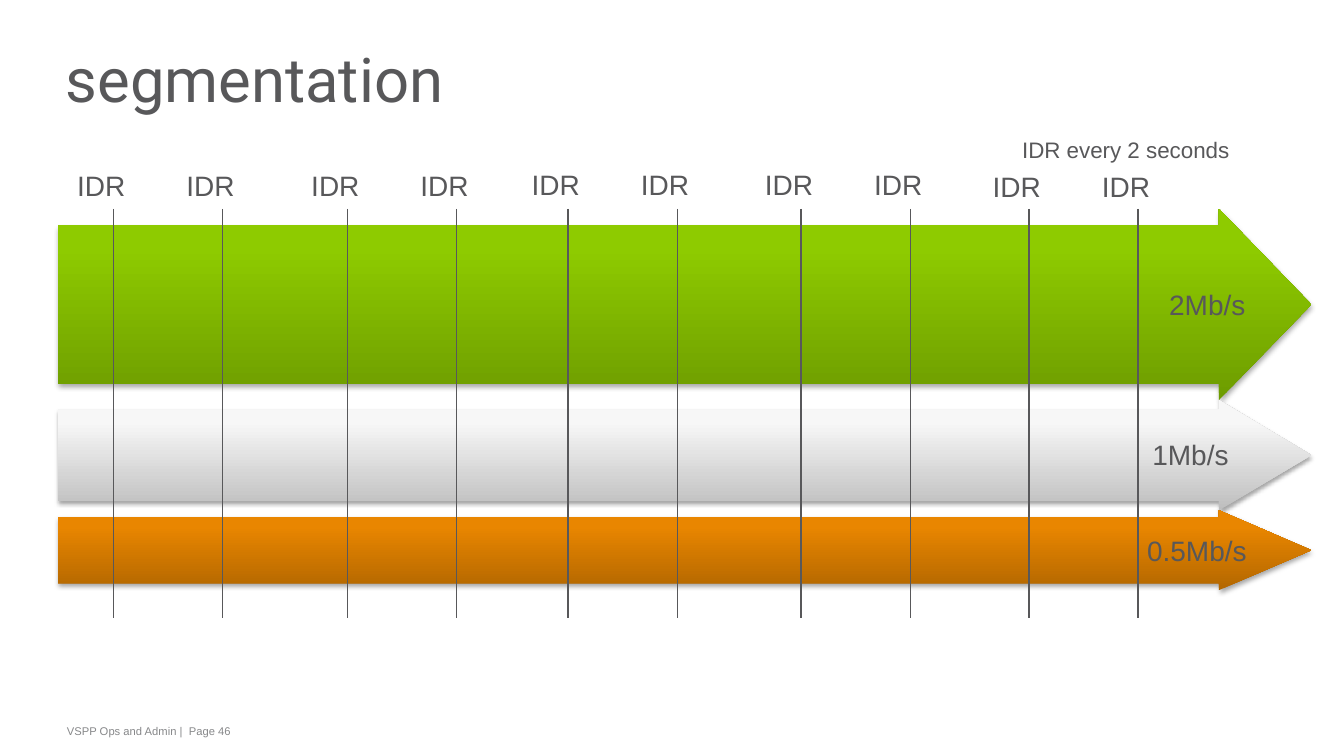
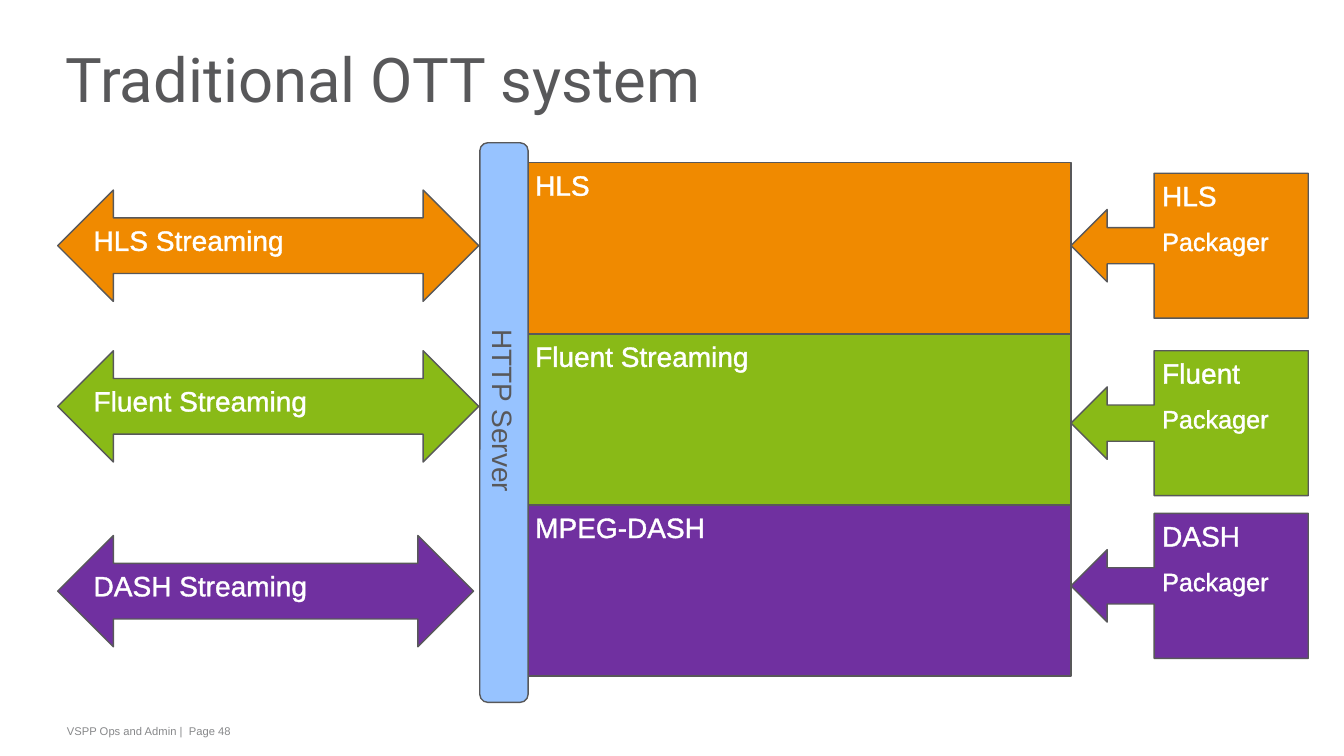
from lxml import etree
from pptx import Presentation
from pptx import util as u
from pptx.dml.color import RGBColor
from pptx.enum import shapes, text
from pptx.oxml import ns

SCALE = 9525
GREY = RGBColor(0x58, 0x58, 0x5A)
FOOTER_GREY = RGBColor(0x87, 0x88, 0x8A)
WHITE = RGBColor(0xFF, 0xFF, 0xFF)
ORANGE = RGBColor(0xF0, 0x8A, 0x00)
GREEN = RGBColor(0x89, 0xBA, 0x17)
PURPLE = RGBColor(0x70, 0x30, 0xA0)
BLUE = RGBColor(0x97, 0xC3, 0xFF)
LIME_DARK, LIME = RGBColor(0x6D, 0x9C, 0x00), RGBColor(0x8E, 0xCB, 0x00)
SILVER_DARK, SILVER = RGBColor(0xBE, 0xBE, 0xBE), RGBColor(0xF7, 0xF7, 0xF7)
AMBER_DARK, AMBER = RGBColor(0xB3, 0x67, 0x00), RGBColor(0xE9, 0x86, 0x00)
BODY_FONT, TITLE_FONT = "Arial", "Roboto"
LEFT = 55
SHAPE = shapes.MSO_SHAPE


def px(*values):
    return [u.Emu(v * SCALE) for v in values]


def add_xml(parent, tag, **attrs):
    el = etree.SubElement(parent, ns.qn(tag))
    for name, value in attrs.items():
        el.set(name, str(value))
    return el


def add_run(p, words, size, color, font=BODY_FONT):
    r = p.add_run()
    r.text = words
    r.font.size = u.Pt(size)
    r.font.name = font
    r.font.color.rgb = color
    return r


def set_insets(tf, x, y):
    tf.margin_left = tf.margin_right = u.Inches(x)
    tf.margin_top = tf.margin_bottom = u.Inches(y)


def add_slide(prs, title, page):
    s = prs.slides.add_slide(prs.slide_layouts[5])
    sp = s.shapes.title
    sp.left, sp.top, sp.width, sp.height = px(LEFT, 25, 1056, 114)
    tf = sp.text_frame
    tf.auto_size = text.MSO_AUTO_SIZE.NONE
    tf.vertical_anchor = text.MSO_ANCHOR.MIDDLE
    set_insets(tf, 0.08, 0.08)
    p = tf.paragraphs[0]
    p.alignment = text.PP_ALIGN.LEFT
    p.line_spacing = 0.75
    add_run(p, title, 44, GREY, TITLE_FONT)
    footer = add_label(s, 56, 685, 1036, 23, f"VSPP Ops and Admin |  Page {page}", 8, FOOTER_GREY)
    footer.text_frame.word_wrap = True
    set_insets(footer.text_frame, 0.08, 0.05)
    return s


def add_label(s, x, y, w, h, words, size=20, color=GREY):
    sp = s.shapes.add_textbox(*px(x, y, w, h))
    tf = sp.text_frame
    tf.word_wrap = False
    add_run(tf.paragraphs[0], words, size, color)
    return sp


def add_bitrate_arrow(s, y, h, dark, light):
    sp = s.shapes.add_shape(SHAPE.RIGHT_ARROW, *px(LEFT, y, 1194, h))
    sp.adjustments[0] = 0.83
    sp.adjustments[1] = 88 / h
    sp.line.fill.background()
    sp.fill.gradient()
    sp.fill.gradient_angle = 90
    stops = sp.fill.gradient_stops
    for stop, position, color in zip(stops, (0, 0.8), (dark, light)):
        stop.position = position
        stop.color.rgb = color
    effects = add_xml(sp._element.spPr, "a:effectLst")
    shadow = add_xml(effects, "a:outerShdw", blurRad=u.Pt(3.1), dist=u.Pt(1.8),
                     dir=5400000, rotWithShape=0)
    black = add_xml(shadow, "a:srgbClr", val="000000")
    add_xml(black, "a:alpha", val=35000)


def add_marker(s, x):
    ends = px(x, 199, x, 589)
    line = s.shapes.add_connector(shapes.MSO_CONNECTOR.STRAIGHT, *ends)
    line.line.color.rgb = GREY
    line.line.width = u.Pt(1)
    add_xml(line._element.spPr, "a:effectLst")


def add_block(s, kind, x, y, w, h, color, *lines):
    sp = s.shapes.add_shape(kind, *px(x, y, w, h))
    sp.shadow.inherit = False
    sp.fill.solid()
    sp.fill.fore_color.rgb = color
    sp.line.color.rgb = GREY
    sp.line.width = u.Pt(1)
    tf = sp.text_frame
    tf.word_wrap = True
    tf.vertical_anchor = text.MSO_ANCHOR.TOP
    set_insets(tf, 0.08, 0.05)
    for i, words in enumerate(lines):
        p = tf.add_paragraph() if i else tf.paragraphs[0]
        p.alignment = text.PP_ALIGN.LEFT
        if i:
            p.space_before = u.Pt(10)
        r = add_run(p, words, 18 if i else 20, WHITE)
        r.font._element.insert(0, make_outline())
    return sp


def make_outline():
    ln = etree.Element(ns.qn("a:ln"), w=str(u.Pt(1.45)))
    add_xml(add_xml(ln, "a:solidFill"), "a:srgbClr", val=str(WHITE))
    return ln


def build_segmentation(prs):
    s = add_slide(prs, "segmentation", 46)
    for y, h, dark, light in ((199, 182, LIME_DARK, LIME),
                              (381, 105, SILVER_DARK, SILVER),
                              (486, 76, AMBER_DARK, AMBER)):
        add_bitrate_arrow(s, y, h, dark, light)
    for start, label_top in ((108, 156), (331, 156), (541, 155), (763, 155), (980, 157)):
        for x in (start, start + 104):
            add_marker(s, x)
            add_label(s, x - 44, label_top, 66, 42, "IDR")
    for x, y, w, rate in ((1104, 269, 92, "2Mb/s"),
                          (1088, 412, 92, "1Mb/s"),
                          (1083, 503, 115, "0.5Mb/s")):
        add_label(s, x, y, w, 42, rate)
    add_label(s, 964, 125, 219, 35, "IDR every 2 seconds", 16)


def build_ott_system(prs):
    s = add_slide(prs, "Traditional OTT system", 48)
    formats = (
        (ORANGE, "HLS", "HLS", 181, 401, 165),
        (GREEN, "Fluent Streaming", "Fluent", 334, 401, 334),
        (PURPLE, "MPEG-DASH", "DASH", 510, 396, 489),
    )
    for i, (color, name, short, stream_top, stream_w, packager_top) in enumerate(formats):
        add_block(s, SHAPE.RECTANGLE, 502, 155 + i * 163, 518, 163, color, name)
        add_block(s, SHAPE.LEFT_RIGHT_ARROW, LEFT, stream_top, stream_w, 106, color,
                  f"{short} Streaming")
        add_block(s, SHAPE.LEFT_ARROW_CALLOUT, 1020, packager_top, 226, 138, color,
                  short, "Packager")
    add_block(s, SHAPE.ROUNDED_RECTANGLE, 457, 136, 46, 533, BLUE)
    add_label(s, 391, 371, 176, 42, "HTTP Server").rotation = 90


def main():
    prs = Presentation()
    prs.slide_width, prs.slide_height = px(1280, 720)
    build_segmentation(prs)
    build_ott_system(prs)
    prs.save("out.pptx")


if __name__ == "__main__":
    main()
